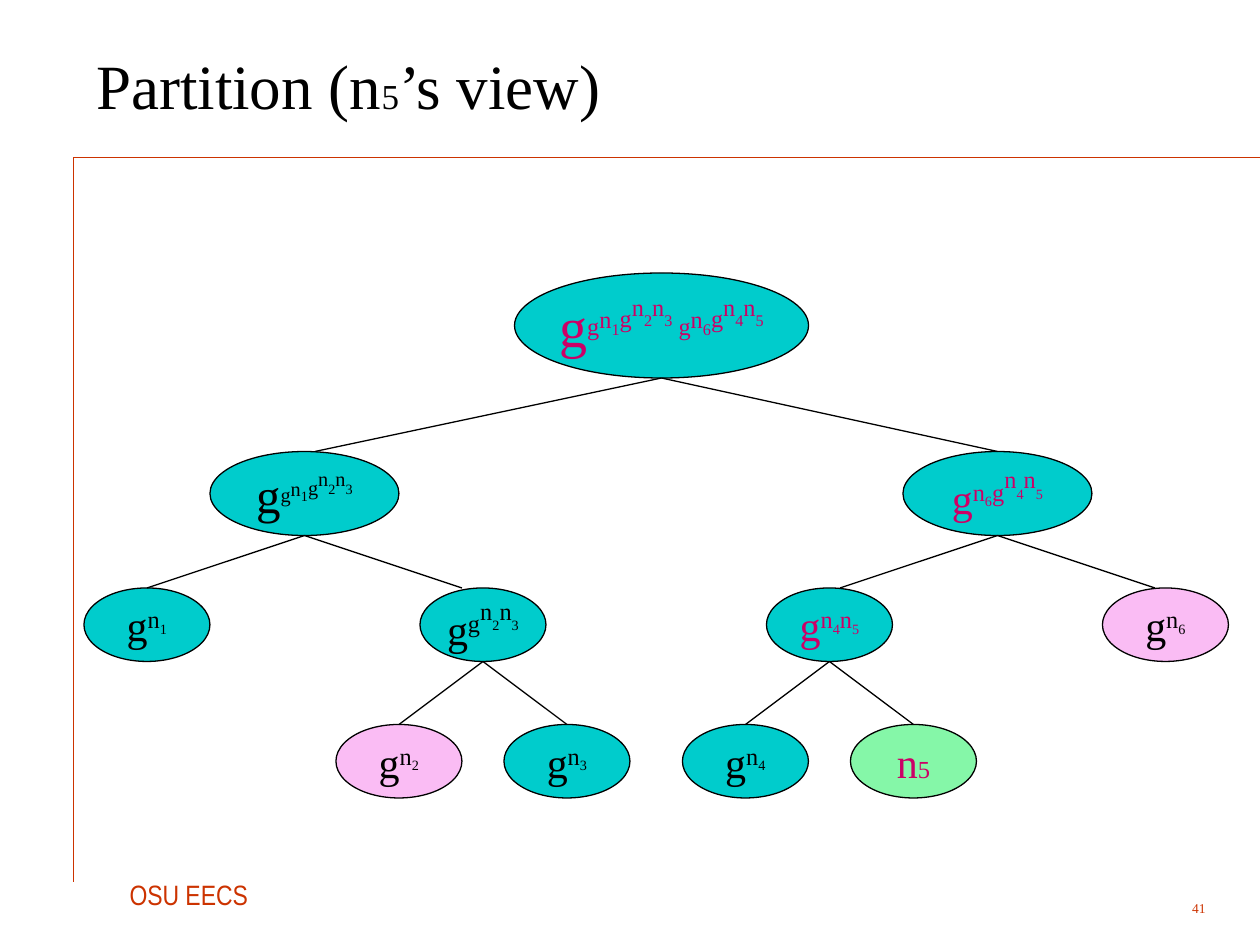
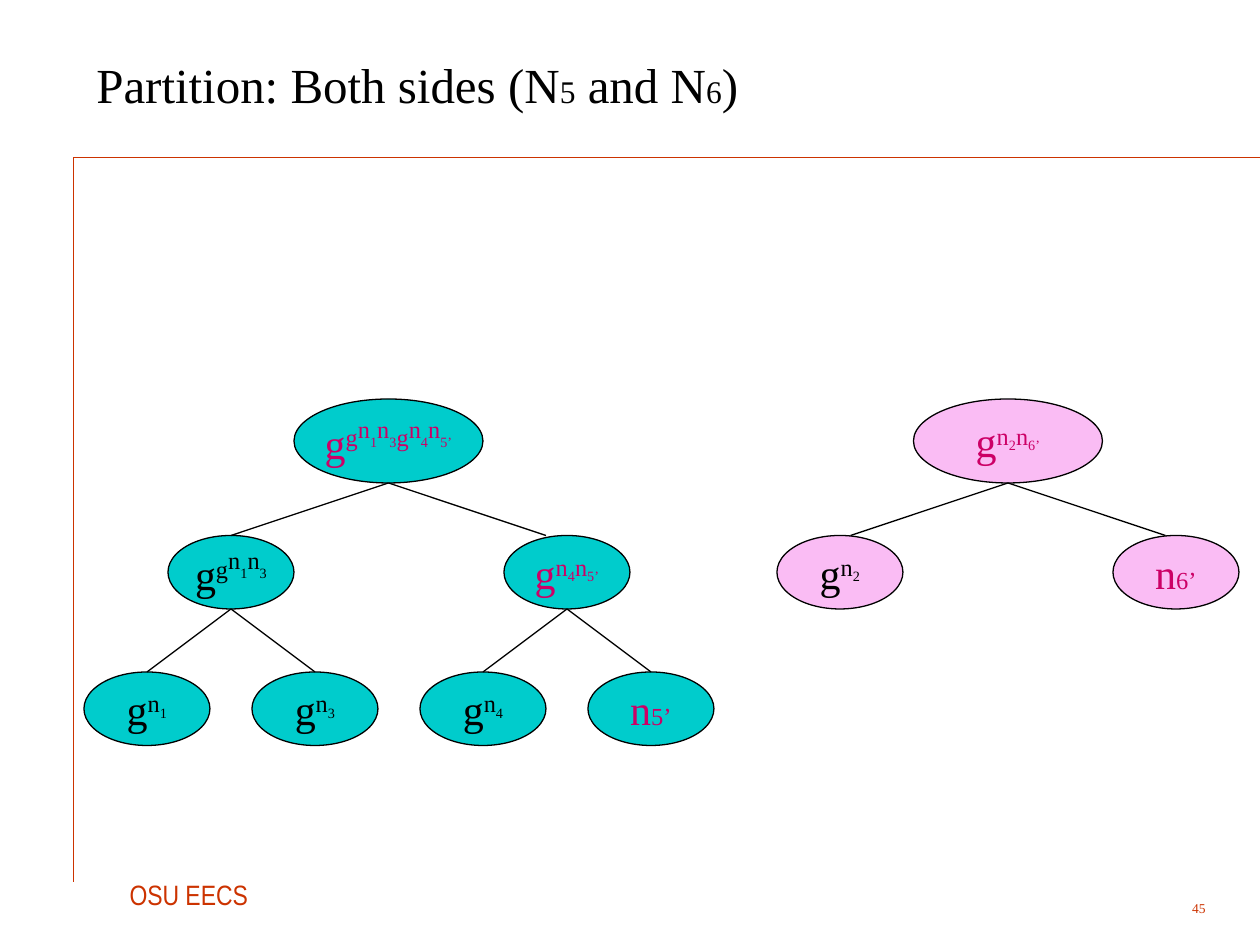
"""Two slides of key trees after a group partition."""
import pptx
import pptx.dml.color
import pptx.enum.shapes
import pptx.enum.text
import pptx.util
from lxml import etree
from pptx.oxml.ns import qn

GRID = 2.54 / 12
COLORS = {"teal": "00CCCC", "pink": "FABCF4", "green": "85F7A8",
          "ink": "000000", "changed": "CC0066", "accent": "CC3300"}
SERIF = "Times New Roman"
SIZES = {"root": (28, 10), "branch": (18, 8), "leaf": (12, 7)}
ALIGN = pptx.enum.text.PP_ALIGN
MIDDLE = pptx.enum.text.MSO_ANCHOR.MIDDLE
TITLE = {"frame": {"word_wrap": True, "vertical_anchor": MIDDLE}}
LABEL = {"frame": {"word_wrap": False, "vertical_anchor": MIDDLE},
         "paragraph": {"alignment": ALIGN.CENTER}}
FOOTER = {"frame": {"word_wrap": False},
          "paragraph": {"space_before": pptx.util.Pt(4)}}
NUMBER = {"frame": {"word_wrap": True, "vertical_anchor": MIDDLE},
          "paragraph": {"alignment": ALIGN.RIGHT}}


def units(*counts):
    return [pptx.util.Cm(count * GRID) for count in counts]


def rgb(color):
    return pptx.dml.color.RGBColor.from_string(COLORS[color])


def assign(target, values):
    for attribute, value in values.items():
        setattr(target, attribute, value)


def indexed(numbers, rise, big=24, small=14):
    return [run for number in numbers.split()
            for run in (("n", big, rise), (number, small, rise))]


def secret(numbers):
    return [("g", 24, 0), *indexed(numbers, 30)]


def nested(numbers, rise):
    return [("g", 24, 30), *indexed(numbers, rise)]


def chained(number, pair, big, small, lead=""):
    return [(lead + "g", big, 30), *indexed(number, 46, big, small),
            ("g", big, 50), *indexed(pair, 76, big, small)]


class Deck:
    def __init__(self):
        self.show = pptx.Presentation()
        assign(self.show, {"slide_width": pptx.util.Cm(25.4),
                           "slide_height": pptx.util.Cm(19.05)})

    def start(self, title, number):
        self.slide = self.show.slides.add_slide(self.show.slide_layouts[6])
        self.line((7, 15), (120, 15), "accent", 0.25)
        self.line((7, 15), (7, 84), "accent")
        self.text((11.16, 83, 14.3, 4.4), [("OSU EECS", 16, 0)], FOOTER,
                  "accent", "Arial Narrow")
        self.text((106, 85, 10, 3), [(number, 7.7, 0)], NUMBER, "accent")
        self.text((8, 2, 108, 12), title, TITLE)

    def fill_frame(self, frame, runs, style, color, font):
        assign(frame, style["frame"])
        paragraph = frame.paragraphs[0]
        assign(paragraph, style.get("paragraph", {}))
        for words, size, rise in runs:
            run = paragraph.add_run()
            run.text = words
            assign(run.font, {"size": pptx.util.Pt(size), "name": font})
            run.font.color.rgb = rgb(color)
            if rise:
                run._r.get_or_add_rPr().set("baseline", str(rise * 1000))

    def text(self, box, runs, style, color="ink", font=SERIF):
        words = self.slide.shapes.add_textbox(*units(*box))
        self.fill_frame(words.text_frame, runs, style, color, font)

    def line(self, start, end, color="ink", width=0.75):
        edge = self.slide.shapes.add_connector(
            pptx.enum.shapes.MSO_CONNECTOR.STRAIGHT, *units(*start, *end))
        edge.line.color.rgb = rgb(color)
        edge.line.width = pptx.util.Pt(width)
        etree.SubElement(edge._element.spPr, qn("a:effectLst"))

    def node(self, centre, top, runs, size="leaf", fill="teal", ink="ink",
             parent=None, shift=0):
        width, height = SIZES[size]
        oval = self.slide.shapes.add_shape(
            pptx.enum.shapes.MSO_SHAPE.OVAL,
            *units(centre - width / 2, top, width, height))
        oval.shadow.inherit = False
        oval.fill.solid()
        oval.fill.fore_color.rgb = rgb(fill)
        oval.line.color.rgb = rgb("ink")
        oval.line.width = pptx.util.Pt(0.75)
        self.fill_frame(oval.text_frame, runs, LABEL, ink, SERIF)
        if parent:
            self.line((centre + shift, top), parent)
        return centre, top + height


def member_view(deck):
    deck.start([("Partition (n", 36, 0), ("5", 20, 0), ("’s view)", 36, 0)], "41")
    group = deck.node(63, 26, [("g", 32, 0), *chained("1", "2 3", 24, 16),
                               *chained("6", "4 5", 24, 16, " ")],
                      "root", ink="changed")
    left = deck.node(29, 43, [("g", 28, 0), *chained("1", "2 3", 20, 14)],
                     "branch", parent=group, shift=1)
    right = deck.node(95, 43, [*secret("6"), ("g", 24, 30), *indexed("4 5", 60)],
                      "branch", ink="changed", parent=group)
    deck.node(14, 56, secret("1"), parent=left)
    pair_23 = deck.node(46, 56, [("g", 24, 0), *nested("2 3", 60)],
                        parent=left, shift=-2)
    pair_45 = deck.node(79, 56, secret("4 5"), ink="changed", parent=right, shift=1)
    deck.node(111, 56, secret("6"), fill="pink", parent=right, shift=-1)
    deck.node(38, 69, secret("2"), fill="pink", parent=pair_23)
    deck.node(54, 69, secret("3"), parent=pair_23)
    deck.node(71, 69, secret("4"), parent=pair_45)
    deck.node(87, 69, indexed("5", 0), fill="green", ink="changed", parent=pair_45)


def both_sides(deck):
    deck.start([("Partition: Both sides (N", 28, 0), ("5", 18, 0),
                (" and N", 28, 0), ("6", 18, 0), (")", 28, 0)], "45")
    first = deck.node(37, 38, [("g", 24, 0), *nested("1 3", 50), *nested("4 5’", 50)],
                      "branch", ink="changed")
    second = deck.node(96, 38, secret("2 6’"), "branch", "pink", "changed")
    pair_13 = deck.node(22, 51, [("g", 24, 0), *nested("1 3", 50)], parent=first)
    pair_45 = deck.node(54, 51, secret("4 5’"), ink="changed", parent=first, shift=-2)
    deck.node(80, 51, secret("2"), fill="pink", parent=second, shift=1)
    deck.node(112, 51, indexed("6’", 0), fill="pink", ink="changed",
              parent=second, shift=-1)
    deck.node(14, 64, secret("1"), parent=pair_13)
    deck.node(30, 64, secret("3"), parent=pair_13)
    deck.node(46, 64, secret("4"), parent=pair_45)
    deck.node(62, 64, indexed("5’", 0), ink="changed", parent=pair_45)


def main():
    deck = Deck()
    member_view(deck)
    both_sides(deck)
    deck.show.save("out.pptx")


if __name__ == "__main__":
    main()
